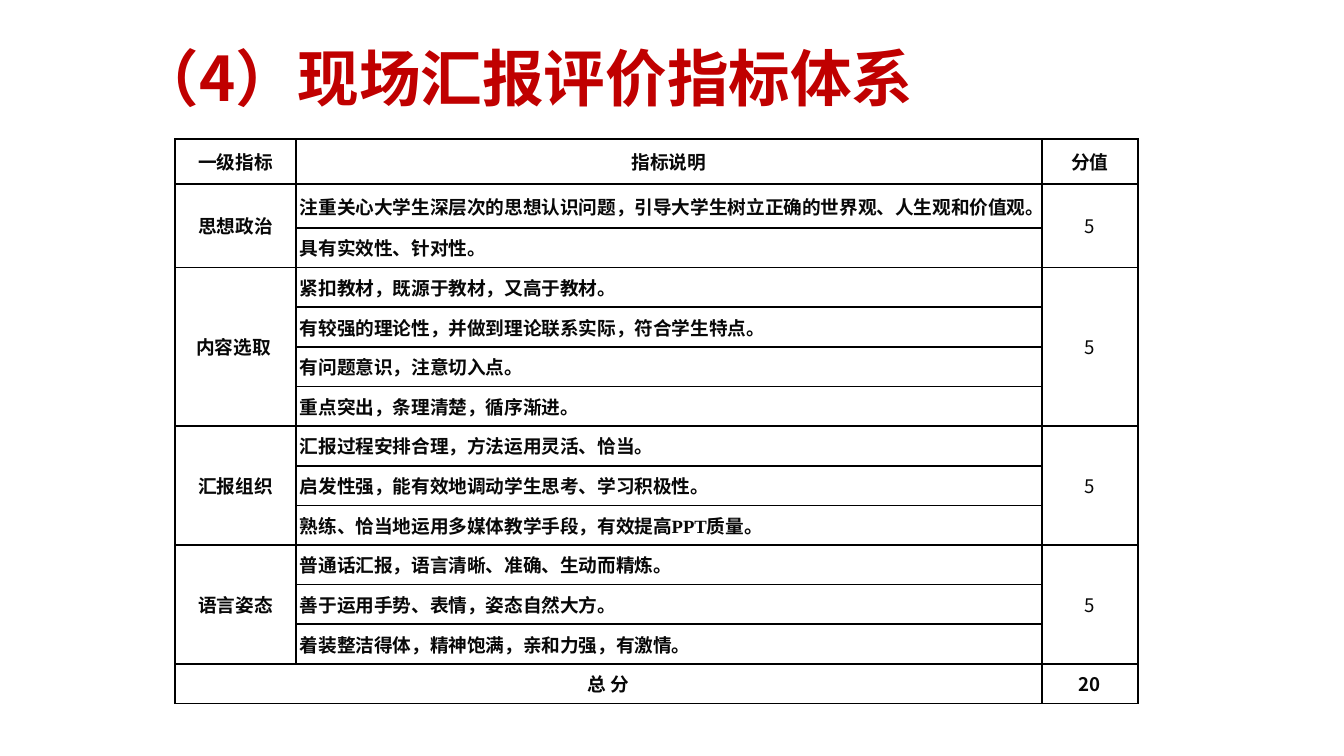
"""Build the slide with the scoring table for the live presentation."""
from dataclasses import dataclass

from lxml.etree import SubElement
from pptx import Presentation
from pptx.dml.color import RGBColor
from pptx.enum.text import MSO_ANCHOR as ANCHOR, PP_ALIGN as ALIGN
from pptx.oxml import parse_xml
from pptx.oxml.ns import nsdecls, qn
from pptx.util import Emu, Pt

TITLE = "（4）现场汇报评价指标体系"
HEADER = ("一级指标", "指标说明", "分值")
GROUPS = [
    ("思想政治", "5", [
        "注重关心大学生深层次的思想认识问题，引导大学生树立正确的世界观、人生观和价值观。",
        "具有实效性、针对性。",
    ]),
    ("内容选取 ", "5", [
        "紧扣教材，既源于教材，又高于教材。",
        "有较强的理论性，并做到理论联系实际，符合学生特点。",
        "有问题意识，注意切入点。",
        "重点突出，条理清楚，循序渐进。",
    ]),
    ("汇报组织", "5", [
        "汇报过程安排合理，方法运用灵活、恰当。",
        "启发性强，能有效地调动学生思考、学习积极性。",
        "熟练、恰当地运用多媒体教学手段，有效提高PPT质量。",
    ]),
    ("语言姿态", "5", [
        "普通话汇报，语言清晰、准确、生动而精炼。",
        "善于运用手势、表情，姿态自然大方。",
        "着装整洁得体，精神饱满，亲和力强，有激情。",
    ]),
]
TOTAL = ("总 分", "20")

SLIDE = (1344, 756)
TITLE_BOX = (128, 35, 907, 93)
TABLE_AT = (175, 139)
COLUMNS = (121, 746, 96)
TOP_ROWS = (45, 44)
OTHER_ROWS = 476


@dataclass(frozen=True)
class Theme:
    red: str = "C00000"
    ink: str = "080808"
    border: str = "000000"
    title_size: int = 33
    body_size: int = 10
    cjk: str = "Noto Sans CJK SC"
    serif: str = "Times New Roman"
    sans: str = "Calibri"


THEME = Theme()


def px(n):
    return Emu(round(n * 914400 / 134.4))


def write(tf, text, size=THEME.body_size, font=THEME.serif, color=THEME.ink,
          bold=True, align=ALIGN.CENTER, spacing=None):
    p = tf.paragraphs[0]
    p.alignment, p.line_spacing = align, spacing
    r = p.add_run()
    r.text = text
    r.font.size, r.font.name, r.font.bold = Pt(size), font, bold
    r.font.color.rgb = RGBColor.from_string(color)
    SubElement(r.font._element, qn("a:ea")).set("typeface", THEME.cjk)


def set_insets(target, x, y):
    target.margin_left = target.margin_right = px(x)
    target.margin_top = target.margin_bottom = px(y)
    target.vertical_anchor = ANCHOR.MIDDLE


def style_cell(cell):
    set_insets(cell, 4, 0)
    cell.fill.background()
    tc_pr = cell._tc.get_or_add_tcPr()
    for i, side in enumerate("LRTB"):
        tc_pr.insert(i, parse_xml(
            f'<a:ln{side} {nsdecls("a")} w="{Pt(1)}"><a:solidFill>'
            f'<a:srgbClr val="{THEME.border}"/></a:solidFill></a:ln{side}>'))


def add_title(slide):
    tf = slide.shapes.add_textbox(*map(px, TITLE_BOX)).text_frame
    tf.word_wrap = True
    set_insets(tf, 10, 5)
    write(tf, TITLE, size=THEME.title_size, font=THEME.cjk, color=THEME.red,
          align=ALIGN.LEFT, spacing=0.9)


def add_score_table(slide):
    count = 2 + sum(len(notes) for _, _, notes in GROUPS)
    rest = count - len(TOP_ROWS)
    heights = [*TOP_ROWS, *[OTHER_ROWS / rest] * rest]
    table = slide.shapes.add_table(
        count, len(COLUMNS), *map(px, TABLE_AT),
        px(sum(COLUMNS)), px(sum(heights))).table
    table.first_row = table.horz_banding = False
    for column, width in zip(table.columns, COLUMNS):
        column.width = px(width)
    for row, height in zip(table.rows, heights):
        row.height = px(height)
    for cell in table.iter_cells():
        style_cell(cell)

    for c, text in enumerate(HEADER):
        write(table.cell(0, c).text_frame, text)
    top = 1
    for name, score, notes in GROUPS:
        for c in (0, 2):
            table.cell(top, c).merge(table.cell(top + len(notes) - 1, c))
        write(table.cell(top, 0).text_frame, name, font=THEME.sans)
        write(table.cell(top, 2).text_frame, score, font=THEME.cjk, bold=False)
        for r, note in enumerate(notes, top):
            write(table.cell(r, 1).text_frame, note, align=ALIGN.LEFT)
        top += len(notes)
    table.cell(top, 0).merge(table.cell(top, 1))
    write(table.cell(top, 0).text_frame, TOTAL[0], font=THEME.sans)
    write(table.cell(top, 2).text_frame, TOTAL[1], font=THEME.cjk)


def main():
    prs = Presentation()
    prs.slide_width, prs.slide_height = map(px, SLIDE)
    slide = prs.slides.add_slide(prs.slide_layouts[6])
    add_title(slide)
    add_score_table(slide)
    prs.save("out.pptx")


if __name__ == "__main__":
    main()
